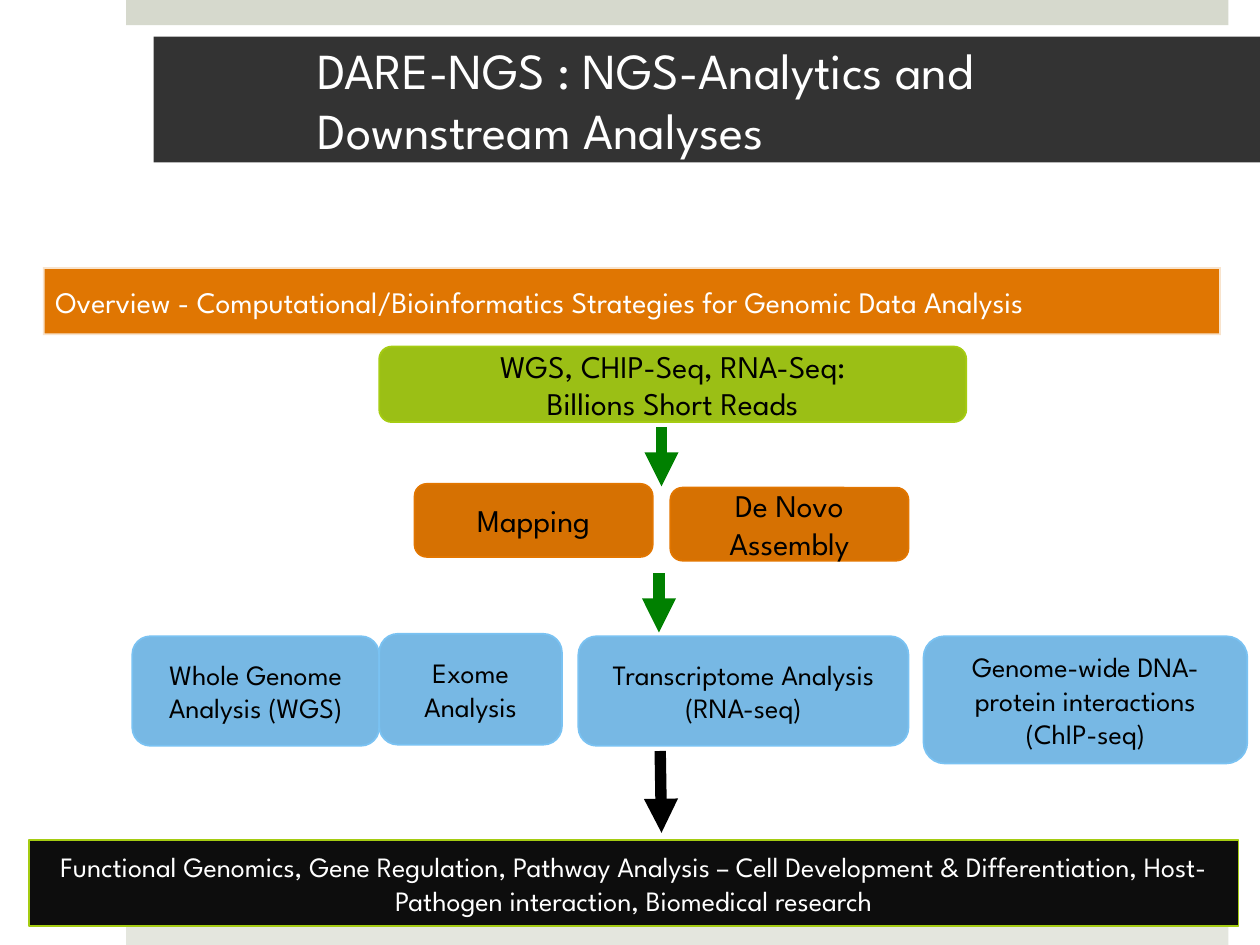
"""Build the DARE-NGS workflow slide: data, processing, analyses and outcome."""
from lxml import etree
from pptx import Presentation, oxml, util as u
from pptx.dml.color import RGBColor
from pptx.enum import shapes, text
from pptx.oxml.ns import qn

FONT = "League Spartan"
C = {
    "band": "D6D9CD", "foot": "E4E6DE", "title": "333333", "white": "FFFFFF",
    "black": "000000", "overview": "E07602", "reads": "9BBF15", "lime": "A5CC12",
    "method": "D67102", "method_edge": "E27600", "analysis": "77B8E4",
    "analysis_edge": "7AC2F2", "outcome": "0D0D0D", "arrow": "008000",
}
STYLES = {
    "band": dict(fill="band"),
    "foot": dict(fill="foot"),
    "title": dict(fill="title", ink="white", size=28.8, align="LEFT"),
    "overview": dict(fill="overview", edge="white", weight=2, alpha=80,
                     ink="white", size=17, align="LEFT"),
    "reads": dict(fill="reads", edge="lime", size=18, rounded=True),
    "method": dict(fill="method", edge="method_edge", size=18, rounded=True),
    "analysis": dict(fill="analysis", edge="analysis_edge", size=16, rounded=True),
    "outcome": dict(fill="outcome", edge="lime", ink="white", size=16),
}
# Left, top, width and height are percentages of the slide.
BOXES = [
    ("band", (10, 0, 87.5, 2.67), ""),
    ("foot", (10, 97.33, 87.5, 2.67), ""),
    ("title", (12.2, 3.87, 87.8, 13.33),
     "DARE-NGS : NGS-Analytics and Downstream Analyses"),
    ("overview", (3.4, 28.27, 93.5, 7.2),
     "Overview - Computational/Bioinformatics Strategies for Genomic Data Analysis"),
    ("reads", (30.1, 36.67, 46.6, 8), "WGS, CHIP-Seq, RNA-Seq:\nBillions Short Reads"),
    ("method", (32.9, 51.2, 18.9, 7.73), "Mapping"),
    ("method", (53.2, 51.6, 18.9, 7.73), "De Novo Assembly"),
    ("analysis", (10.5, 67.33, 19.6, 11.6), "Whole Genome Analysis (WGS)"),
    ("analysis", (30.1, 67.07, 14.5, 11.73), "Exome Analysis"),
    ("analysis", (45.9, 67.33, 26.2, 11.6), "Transcriptome Analysis\n(RNA-seq)"),
    ("analysis", (73.3, 67.33, 25.7, 13.47),
     "Genome-wide DNA-protein interactions\n(ChIP-seq)"),
    ("outcome", (2.3, 88.93, 96, 9.07),
     "Functional Genomics, Gene Regulation, Pathway Analysis – Cell Development & "
     "Differentiation, Host-Pathogen interaction, Biomedical research"),
]
ARROWS = [
    ("arrow", (52.5, 45.2, 52.5, 51.47)),
    ("arrow", (52.3, 60.67, 52.3, 66.93)),
    ("black", (52.4, 79.47, 52.5, 88.13)),
]


def rgb(name):
    return RGBColor.from_string(C[name])


def place(prs, shares):
    sides = (prs.slide_width, prs.slide_height) * 2
    return [u.Emu(round(side * share / 100)) for side, share in zip(sides, shares)]


def write(tf, content, ink, size, align):
    tf.word_wrap = True
    tf.vertical_anchor = text.MSO_ANCHOR.MIDDLE
    tf.text = content
    for p in tf.paragraphs:
        p.alignment = text.PP_ALIGN[align]
        for r in p.runs:
            r.font.name, r.font.size = FONT, u.Pt(size)
            r.font.color.rgb = rgb(ink)


def add_box(prs, s, box, content, fill, edge=None, weight=1, alpha=None,
            ink="black", size=16, align="CENTER", rounded=False):
    kind = shapes.MSO_SHAPE.ROUNDED_RECTANGLE if rounded else shapes.MSO_SHAPE.RECTANGLE
    sp = s.shapes.add_shape(kind, *place(prs, box))
    sp.shadow.inherit = False
    sp.fill.solid()
    sp.fill.fore_color.rgb = rgb(fill)
    if edge:
        sp.line.color.rgb, sp.line.width = rgb(edge), u.Pt(weight)
    else:
        sp.line.fill.background()
    if alpha:
        color = sp.line._get_or_add_ln().find(".//" + qn("a:srgbClr"))
        etree.SubElement(color, qn("a:alpha")).set("val", str(alpha * 1000))
    if content:
        write(sp.text_frame, content, ink, size, align)
    return sp


def add_arrow(prs, s, color, ends):
    cn = s.shapes.add_connector(shapes.MSO_CONNECTOR.STRAIGHT, *place(prs, ends))
    cn.line.color.rgb, cn.line.width = rgb(color), u.Pt(6.5)
    ln = cn.line._get_or_add_ln()
    ln.append(oxml.parse_xml(
        '<a:tailEnd xmlns:a="http://schemas.openxmlformats.org/drawingml/2006/main" '
        'type="triangle"/>'))
    etree.SubElement(ln.getparent(), qn("a:effectLst"))


def main():
    prs = Presentation()
    prs.slide_width, prs.slide_height = u.Inches(10), u.Inches(7.5)
    s = prs.slides.add_slide(prs.slide_layouts[6])
    for style, box, content in BOXES:
        sp = add_box(prs, s, box, content, **STYLES[style])
        if style == "title":
            sp.text_frame.margin_left = u.Inches(1.3)
            sp.text_frame.margin_right = u.Inches(0.3)
    for color, ends in ARROWS:
        add_arrow(prs, s, color, ends)
    prs.save("out.pptx")


if __name__ == "__main__":
    main()
